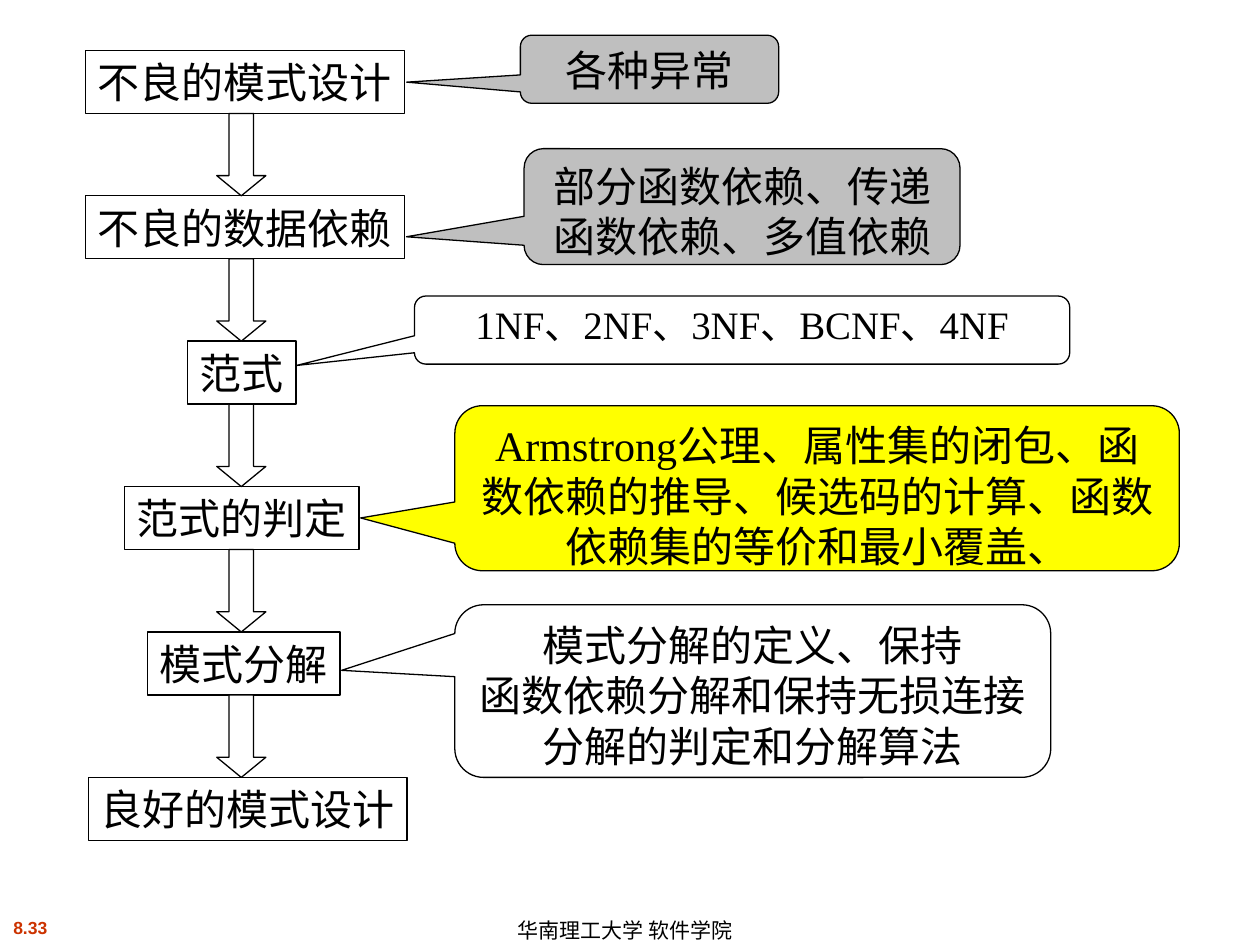
from pptx import Presentation
from pptx import util as u
from pptx.dml import color
from pptx.enum import shapes, text

COLORS = {"ink": "000000", "paper": "FFFFFF", "problem": "BFBFBF",
          "theory": "FFFF00", "number": "CC3300"}
BODY_FONT, FOOTER_FONT = "Times New Roman", "Arial"
STEPS = [("不良的模式设计", 0.68, 2.53), ("不良的数据依赖", 0.68, 2.53),
         ("范式", 1.49, 0.86), ("范式的判定", 0.99, 1.86),
         ("模式分解", 1.17, 1.53), ("良好的模式设计", 0.7, 2.53)]
CALLOUTS = [
    (["各种异常"], (4.13, 0.28, 2.05, 0.54), (-0.94, 0.19), "problem", 24, 1),
    (["部分函数依赖、传递函数依赖、多值依赖"],
     (4.16, 1.18, 3.46, 0.92), (-0.77, 0.26), "problem", 24, 1),
    (["1NF、2NF、3NF、BCNF、4NF"],
     (3.29, 2.35, 5.2, 0.54), (-0.68, 0.52), "paper", 22.2, 0.9),
    (["Armstrong公理、属性集的闭包、函数依赖的推导、候选码的计算、函数依赖集的等价和最小覆盖、"],
     (3.61, 3.22, 5.75, 1.31), (-0.63, 0.18), "theory", 24, 1),
    (["模式分解的定义、保持", "函数依赖分解和保持无损连接分解的判定和分解算法"],
     (3.61, 4.8, 4.73, 1.37), (-0.69, -0.12), "paper", 24, 1),
]


def rgb(name):
    """Return the named colour."""
    return color.RGBColor.from_string(COLORS[name])


def write(holder, lines, size=24, font=BODY_FONT, ink="ink", bold=False,
          align=text.PP_ALIGN.CENTER, spacing=1, wrap=True,
          anchor=text.MSO_ANCHOR.TOP):
    """Write one paragraph per line into a shape or text box."""
    frame = holder.text_frame
    frame.word_wrap = wrap
    frame.vertical_anchor = anchor
    for index, line in enumerate(lines):
        paragraph = frame.add_paragraph() if index else frame.paragraphs[0]
        paragraph.alignment = align
        paragraph.line_spacing = spacing
        run = paragraph.add_run()
        run.text = line
        run.font.size = u.Pt(size)
        run.font.name = font
        run.font.bold = bold
        run.font.color.rgb = rgb(ink)


def add_outlined(slide, kind, box, fill="paper"):
    """Add a flat shape with a thin black outline."""
    shape = slide.shapes.add_shape(kind, *map(u.Inches, box))
    shape.shadow.inherit = False
    shape.fill.solid()
    shape.fill.fore_color.rgb = rgb(fill)
    shape.line.color.rgb = rgb("ink")
    shape.line.width = u.Pt(0.75)
    return shape


def add_flow(slide, top, bottom, step_height=0.5):
    """Stack the design steps evenly between top and bottom, joined by arrows."""
    pitch = (bottom - top - step_height) / (len(STEPS) - 1)
    for index, (label, left, width) in enumerate(STEPS):
        step_top = top + index * pitch
        step = add_outlined(slide, shapes.MSO_SHAPE.RECTANGLE,
                            (left, step_top, width, step_height))
        write(step, [label], wrap=False, anchor=text.MSO_ANCHOR.MIDDLE)
    for index in range(len(STEPS) - 1):
        arrow_top = top + index * pitch + step_height
        arrow = add_outlined(slide, shapes.MSO_SHAPE.DOWN_ARROW,
                             (1.72, arrow_top, 0.39, pitch - step_height))
        arrow.adjustments[1] = 0.41


def add_callout(slide, lines, box, tip, fill, size, spacing):
    """Add a rounded callout whose tip is relative to its centre."""
    callout = add_outlined(
        slide, shapes.MSO_SHAPE.ROUNDED_RECTANGULAR_CALLOUT, box, fill)
    callout.adjustments[0], callout.adjustments[1] = tip
    write(callout, lines, size, spacing=spacing)


def add_footer(slide, top):
    """Add the page number and the school name along the bottom."""
    number = slide.shapes.add_textbox(
        *map(u.Inches, (-0.25, top, 0.98, 0.27)))
    write(number, ["8.33"], 10, FOOTER_FONT, "number", True, wrap=False)
    school = slide.shapes.add_textbox(
        *map(u.Inches, (4.01, top + 0.02, 2.24, 0.25)))
    write(school, ["华南理工大学 软件学院"], 12, FOOTER_FONT, spacing=1.1,
          align=text.PP_ALIGN.LEFT, wrap=False,
          anchor=text.MSO_ANCHOR.MIDDLE)


def main():
    """Build and save the slide."""
    deck = Presentation()
    deck.slide_width, deck.slide_height = u.Inches(10), u.Inches(7.5)
    slide = deck.slides.add_slide(deck.slide_layouts[6])
    add_footer(slide, 7.23)
    add_flow(slide, 0.4, 6.67)
    for callout in CALLOUTS:
        add_callout(slide, *callout)
    deck.save("out.pptx")


if __name__ == "__main__":
    main()
